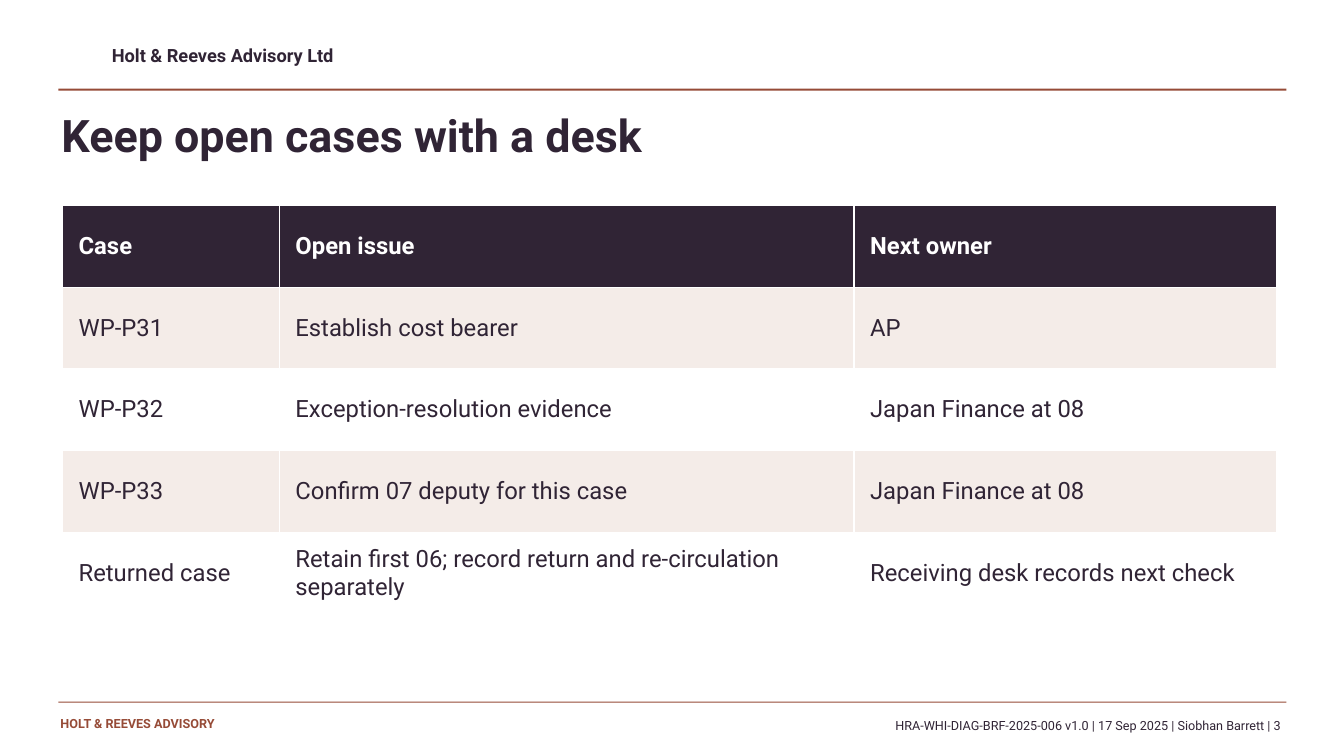
from dataclasses import dataclass

from pptx import Presentation
from pptx import util as u
from pptx.dml.color import RGBColor
from pptx.enum import shapes, text

PX = 9144  # EMU in one px, 100 px to the inch
FONT = "Roboto"
PLUM, RUST, BLUSH, WHITE = "302435", "964B37", "F4ECE8", "FFFFFF"


@dataclass
class Rule:
    top: int
    thick: int


@dataclass
class Label:
    words: str
    box: tuple[int, int, int, int]
    size: int
    color: str = PLUM
    bold: bool = True
    align: text.PP_ALIGN = text.PP_ALIGN.LEFT
    pad: tuple[int, int] = (0, 0)


RULES = [Rule(88, 2), Rule(696, 1)]
LABELS = [
    Label("Holt & Reeves Advisory Ltd", (111, 44, 600, 27), 13),
    Label("HOLT & REEVES ADVISORY", (60, 710, 340, 25), 9, RUST),
    Label("Keep open cases with a desk", (61, 107, 1200, 78), 32),
    Label("HRA-WHI-DIAG-BRF-2025-006 v1.0 | 17 Sep 2025 | Siobhan Barrett | 3",
          (412, 710, 862, 22), 9, bold=False,
          align=text.PP_ALIGN.RIGHT, pad=(4, 2)),
]
CASES = [
    ("Case", "Open issue", "Next owner"),
    ("WP-P31", "Establish cost bearer", "AP"),
    ("WP-P32", "Exception-resolution evidence", "Japan Finance at 08"),
    ("WP-P33", "Confirm 07 deputy for this case", "Japan Finance at 08"),
    ("Returned case",
     "Retain first 06; record return and re-circulation separately",
     "Receiving desk records next check"),
]
COLS = (215, 570, 419)
ROW = 81


def emu(*px: int) -> list[int]:
    return [n * PX for n in px]


def rgb(code: str) -> RGBColor:
    return RGBColor.from_string(code)


def paint(item, code: str) -> None:
    item.fill.solid()
    item.fill.fore_color.rgb = rgb(code)


def pad(item, side: int, end: int) -> None:
    """Set equal left and right, and equal top and bottom, margins."""
    for edge, gap in dict(left=side, right=side, top=end, bottom=end).items():
        setattr(item, f"margin_{edge}", gap * PX)


def write(frame, words: str, size: int, color: str, bold: bool):
    line = frame.paragraphs[0]
    run = line.add_run()
    run.text = words
    for name, value in dict(name=FONT, size=u.Pt(size), bold=bold).items():
        setattr(run.font, name, value)
    run.font.color.rgb = rgb(color)
    return line


def draw_rule(slide, rule: Rule) -> None:
    box = emu(58, rule.top, 1218, rule.thick)
    shape = slide.shapes.add_shape(shapes.MSO_SHAPE.RECTANGLE, *box)
    shape.shadow.inherit = False
    shape.line.fill.background()
    paint(shape, RUST)


def draw_label(slide, label: Label) -> None:
    frame = slide.shapes.add_textbox(*emu(*label.box)).text_frame
    frame.word_wrap = True
    pad(frame, *label.pad)
    line = write(frame, label.words, label.size, label.color, label.bold)
    line.alignment = label.align


def draw_cases(slide, left: int, top: int) -> None:
    box = emu(left, top, sum(COLS), ROW * len(CASES))
    table = slide.shapes.add_table(len(CASES), len(COLS), *box).table
    for col, width in zip(table.columns, COLS):
        col.width = width * PX
    for r, case in enumerate(CASES):
        table.rows[r].height = ROW * PX
        head = r == 0
        fill = PLUM if head else BLUSH if r % 2 else WHITE
        for c, words in enumerate(case):
            cell = table.cell(r, c)
            paint(cell, fill)
            pad(cell, 16, 5)
            cell.vertical_anchor = text.MSO_ANCHOR.MIDDLE
            write(cell.text_frame, words, 17, WHITE if head else PLUM, head)


def main() -> None:
    deck = Presentation()
    deck.slide_width, deck.slide_height = emu(1333, 750)
    slide = deck.slides.add_slide(deck.slide_layouts[6])
    for rule in RULES:
        draw_rule(slide, rule)
    for label in LABELS:
        draw_label(slide, label)
    draw_cases(slide, 62, 204)
    deck.save("out.pptx")


if __name__ == "__main__":
    main()
